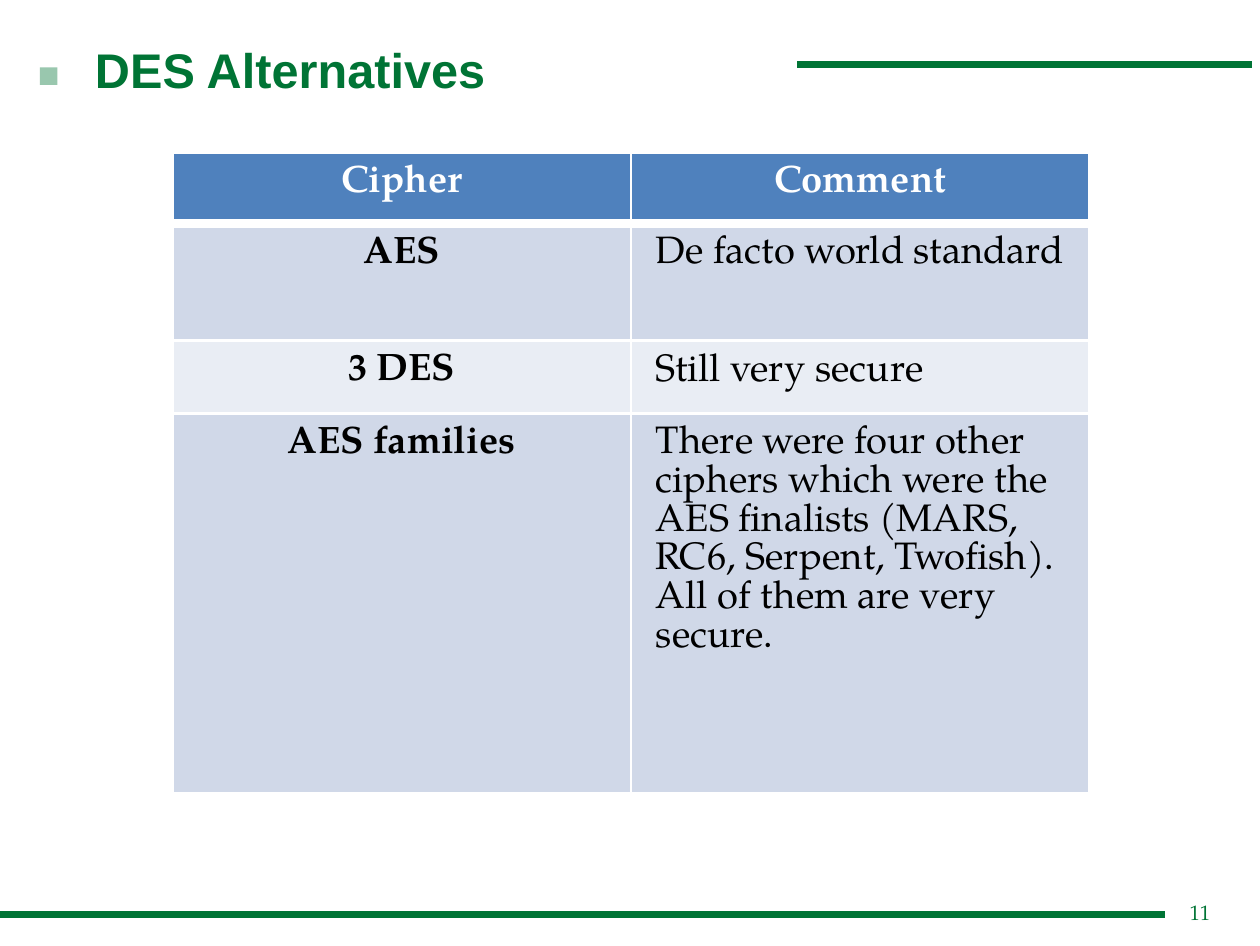
from lxml import etree
from pptx import Presentation
from pptx import util as u
from pptx.dml.color import RGBColor
from pptx.enum import shapes, text
from pptx.oxml.ns import qn

GREEN = RGBColor(0x00, 0x74, 0x35)
PALE_GREEN = RGBColor(0x99, 0xC7, 0xAE)
WHITE = RGBColor(0xFF, 0xFF, 0xFF)
BLACK = RGBColor(0x00, 0x00, 0x00)
HEADER_BLUE = RGBColor(0x4F, 0x81, 0xBD)
BANDS = RGBColor(0xD0, 0xD8, 0xE8), RGBColor(0xE9, 0xED, 0xF4)
SANS, SERIF = "Arial", "TeX Gyre Pagella"

CIPHERS = [
    ("Cipher", "Comment"),
    ("AES", "De facto world standard"),
    ("3 DES", "Still very secure"),
    ("AES families", "There were four other ciphers which were the AES finalists "
                     "(MARS, RC6, Serpent, Twofish). All of them are very secure."),
]
ROW_HEIGHTS = 0.28, 0.47, 0.29, 1.52


def write(frame, words, size, color, font=SERIF, bold=False, centred=False, before=0):
    """Fill a text frame with one formatted paragraph."""
    frame.word_wrap = True
    paragraph = frame.paragraphs[0]
    paragraph.alignment = text.PP_ALIGN.CENTER if centred else text.PP_ALIGN.LEFT
    paragraph.space_before = u.Pt(before)
    run = paragraph.add_run()
    run.text = words
    run.font.size, run.font.name, run.font.bold = u.Pt(size), font, bold
    run.font.color.rgb = color


def add_label(slide, left, top, width, height, words, inset=0.01, **style):
    """Place a text box with tight margins."""
    frame = slide.shapes.add_textbox(*map(u.Inches, (left, top, width, height))).text_frame
    frame.margin_left, frame.margin_top = u.Inches(inset), u.Inches(0.01)
    frame.margin_right = frame.margin_bottom = 0
    write(frame, words, **style)


def add_rule(slide, left, right, y):
    """Draw a horizontal green rule."""
    rule = slide.shapes.add_connector(
        shapes.MSO_CONNECTOR.STRAIGHT, *map(u.Inches, (left, y, right, y)))
    rule.line.color.rgb, rule.line.width = GREEN, u.Pt(2)
    etree.SubElement(rule._element.spPr, qn("a:effectLst"))


def add_heading(slide, left, top, width):
    """Place the bullet, the title and the rule to its right."""
    bullet = slide.shapes.add_shape(
        shapes.MSO_SHAPE.RECTANGLE, *map(u.Inches, (left, top + 0.12, 0.07, 0.07)))
    bullet.shadow.inherit = False
    bullet.fill.solid()
    bullet.fill.fore_color.rgb = PALE_GREEN
    bullet.line.fill.background()
    add_label(slide, left + 0.2, top, 2.99, 0.25, "DES Alternatives", inset=0.02,
              size=14, color=GREEN, font=SANS, bold=True, before=1.4)
    add_rule(slide, left + 3.03, left + width, top + 0.11)


def add_footer(slide, left, top, width):
    """Place the bottom rule and the slide number."""
    add_rule(slide, left, left + width, top + 0.07)
    add_label(slide, left + width + 0.06, top, 0.17, 0.13, "11",
              inset=0.04, size=6, color=GREEN, before=0.7)


def white_edge(side, width):
    """Return one white cell edge."""
    edge = etree.Element(qn(f"a:{side}"), w=str(u.Pt(width)))
    fill = etree.SubElement(edge, qn("a:solidFill"))
    etree.SubElement(fill, qn("a:srgbClr"), val=str(WHITE))
    return edge


def add_cipher_table(slide, left, top, width):
    """Place the banded table of ciphers and comments."""
    table = slide.shapes.add_table(
        len(CIPHERS), 2, *map(u.Inches, (left, top, width, sum(ROW_HEIGHTS)))).table
    for column in table.columns:
        column.width = u.Inches(width / 2)
    for row, (entries, height) in enumerate(zip(CIPHERS, ROW_HEIGHTS)):
        table.rows[row].height = u.Inches(height)
        for col, words in enumerate(entries):
            cell = table.cell(row, col)
            header, label = row == 0, col == 0
            write(cell.text_frame, words, size=11, color=WHITE if header else BLACK,
                  bold=header or label, centred=header or label)
            cell.fill.solid()
            cell.fill.fore_color.rgb = HEADER_BLUE if header else BANDS[(row - 1) % 2]
            widths = {"lnL": 1, "lnR": 1, "lnT": 3 if row == 1 else 1, "lnB": 3 if header else 1}
            for place, (side, points) in enumerate(widths.items()):
                cell._tc.tcPr.insert(place, white_edge(side, points))


def main():
    """Build and save the slide."""
    deck = Presentation()
    deck.slide_width, deck.slide_height = u.Pt(363), u.Pt(272.5)
    slide = deck.slides.add_slide(deck.slide_layouts[6])
    add_heading(slide, left=0.16, top=0.15, width=4.85)
    add_footer(slide, left=0, top=3.59, width=4.66)
    add_cipher_table(slide, left=0.69, top=0.61, width=3.67)
    deck.save("out.pptx")


if __name__ == "__main__":
    main()
